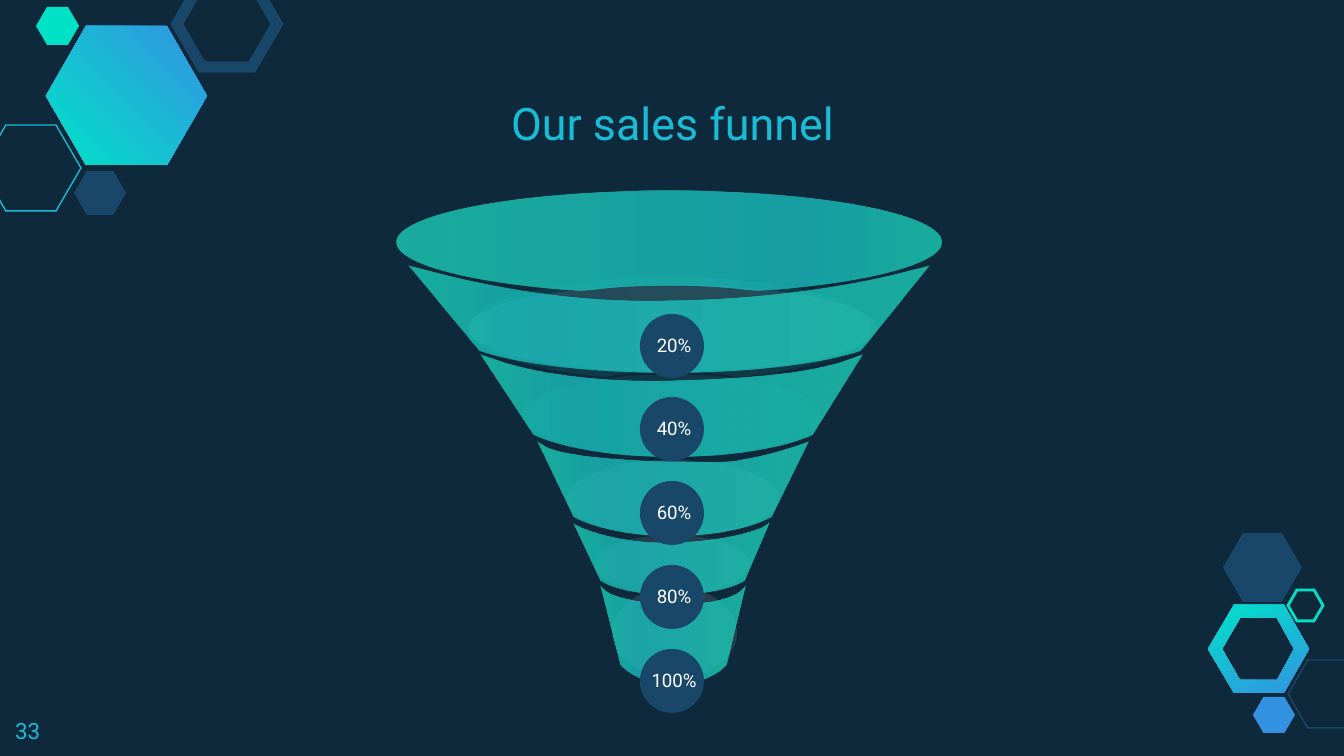
from dataclasses import dataclass

from lxml import etree
from pptx import Presentation
from pptx.dml.color import RGBColor
from pptx.enum.shapes import MSO_SHAPE
from pptx.enum.text import MSO_ANCHOR, PP_ALIGN
from pptx.oxml.ns import qn
from pptx.util import Pt

HEXAGON, OVAL = MSO_SHAPE.HEXAGON, MSO_SHAPE.OVAL
TOP, MIDDLE, BOTTOM = MSO_ANCHOR.TOP, MSO_ANCHOR.MIDDLE, MSO_ANCHOR.BOTTOM
LEFT, CENTER = PP_ALIGN.LEFT, PP_ALIGN.CENTER
EMU_PER_PX = 914400 / 134.4


def px(n):
    return round(n * EMU_PER_PX)


@dataclass(frozen=True)
class Theme:
    font: str = "Roboto"
    back: str = "0E293C"
    navy: str = "184769"
    cyan: str = "19BBD5"
    mint: str = "00E1C6"
    blue: str = "3292E1"
    white: str = "FFFFFF"
    title: int = 24
    number: int = 12
    label: int = 10
    accent: tuple = ((0, "3393E2"), (100, "00E2C7"))
    band: tuple = ((0, "1ED7BE"), (75, "1BC5C5"), (100, "1CD9BD"))
    inner: tuple = ((0, "1ED7BE"), (80, "1BC5C5"), (100, "1CD9BD"))


class Deck:
    def __init__(self, prs, theme):
        self.theme = theme
        self.s = prs.slides.add_slide(prs.slide_layouts[6])
        fill = self.s.background.fill
        fill.solid()
        fill.fore_color.rgb = RGBColor.from_string(theme.back)

    def paint(self, sp, fill=None, line=None, alpha=100, angle=0):
        """Fill is a colour, a tuple of gradient stops or None; line is (colour, points)."""
        sp.shadow.inherit = False
        if isinstance(fill, tuple):
            sp.fill.gradient()
            sp.fill.gradient_angle = -angle % 360
            stops = sp._element.spPr.find(qn("a:gradFill")).find(qn("a:gsLst"))
            for gs in list(stops):
                stops.remove(gs)
            for pos, color in fill:
                gs = etree.SubElement(stops, qn("a:gs"), pos=str(pos * 1000))
                etree.SubElement(gs, qn("a:srgbClr"), val=color)
        elif fill:
            sp.fill.solid()
            sp.fill.fore_color.rgb = RGBColor.from_string(fill)
        else:
            sp.fill.background()
        if alpha < 100:
            for clr in sp._element.spPr.iter(qn("a:srgbClr")):
                etree.SubElement(clr, qn("a:alpha"), val=str(alpha * 1000))
        if line:
            sp.line.color.rgb = RGBColor.from_string(line[0])
            sp.line.width = Pt(line[1])
            ln = sp._element.spPr.find(qn("a:ln"))
            etree.SubElement(ln, qn("a:miter"), lim="800000")
        else:
            sp.line.fill.background()

    def shape(self, kind, x, y, w, h, **style):
        sp = self.s.shapes.add_shape(kind, px(x), px(y), px(w), px(h))
        if kind == HEXAGON:
            sp.adjustments[0] = 0.29
        self.paint(sp, **style)

    def outline(self, *contours, **style):
        """A contour is a start point and steps: 2 numbers a line, 6 a Bezier curve."""
        ends = [[(px(step[-2]), px(step[-1])) for step in c] for c in contours]
        fb = self.s.shapes.build_freeform(*ends[0][0], scale=1.0)
        for i, points in enumerate(ends):
            if i:
                fb.move_to(*points[0])
            fb.add_line_segments(points[1:], close=True)
        sp = fb.convert_to_shape()
        steps = [step for c in contours for step in c[1:]]
        for seg, step in zip(list(sp._element.iter(qn("a:lnTo"))), steps):
            if len(step) == 6:
                curve = etree.Element(qn("a:cubicBezTo"))
                for x, y in zip(step[::2], step[1::2]):
                    etree.SubElement(curve, qn("a:pt"),
                                     x=str(px(x) - sp.left), y=str(px(y) - sp.top))
                seg.getparent().replace(seg, curve)
        self.paint(sp, **style)

    def text(self, words, x, y, w, h, size, color, align=CENTER, anchor=MIDDLE, pad=7):
        tf = self.s.shapes.add_textbox(px(x), px(y), px(w), px(h)).text_frame
        tf.word_wrap = True
        tf.vertical_anchor = anchor
        tf.margin_left = tf.margin_right = px(13)
        tf.margin_top = tf.margin_bottom = px(pad)
        p = tf.paragraphs[0]
        p.alignment = align
        r = p.add_run()
        r.text = words
        r.font.name = self.theme.font
        r.font.size = Pt(size)
        r.font.color.rgb = RGBColor.from_string(color)


# Funnel outlines: rim from left to right, then the base back to the left
BANDS = {
    20: [(409, 266), (429, 271), (481, 285, 570, 304, 669, 301),
         (769, 300, 857, 285, 909, 271), (929, 266), (860, 351),
         (821, 364, 750, 373, 669, 373), (589, 373, 517, 364, 480, 351)],
    40: [(481, 355), (496, 360), (535, 374, 601, 383, 673, 381),
         (747, 379, 809, 374, 848, 360), (862, 355), (812, 435),
         (784, 448, 731, 457, 672, 457), (613, 457, 562, 448, 534, 435)],
    60: [(538, 442), (548, 448), (575, 460, 663, 462, 671, 462),
         (706, 462, 712, 464, 737, 461), (759, 457, 778, 453, 808, 442), (771, 517),
         (751, 528, 715, 536, 672, 536), (630, 536, 594, 528, 574, 517)],
    80: [(574, 524), (582, 528), (601, 536, 634, 544, 672, 543),
         (710, 542, 743, 536, 762, 528), (770, 523), (745, 581),
         (730, 590, 703, 595, 672, 595), (641, 595, 616, 590, 601, 581)],
    100: [(601, 586), (606, 591), (621, 603, 672, 605, 675, 605),
          (677, 605, 726, 605, 741, 591), (746, 586), (727, 665),
          (716, 677, 696, 685, 673, 685), (652, 685, 632, 677, 621, 665)],
}
MOUTH = [(669, 191), (819, 191, 941, 214, 941, 242), (941, 263, 872, 281, 775, 289),
         (757, 290), (745, 289), (720, 286, 696, 285, 669, 285),
         (642, 285, 617, 286, 594, 289), (581, 290), (563, 289),
         (465, 281, 397, 263, 397, 242), (397, 214, 519, 191, 669, 191)]
INNER_MOUTH = [(671, 278), (781, 278, 870, 300, 870, 328), (870, 349, 820, 367, 749, 375),
               (735, 376), (726, 374), (708, 372, 690, 371, 671, 371),
               (651, 371, 632, 372, 616, 374), (606, 376), (593, 375),
               (521, 367, 470, 349, 470, 328), (470, 300, 560, 278, 671, 278)]


def main():
    prs = Presentation()
    prs.slide_width, prs.slide_height = px(1344), px(756)
    t = Theme()
    d = Deck(prs, t)

    # Corner hexagons
    d.outline([(1234, 693), (1208, 649), (1234, 605), (1284, 605), (1309, 649), (1284, 693)],
              [(1240, 680), (1277, 680), (1294, 649), (1277, 618), (1240, 618), (1222, 649)],
              fill=t.accent, angle=244)
    d.outline([(207, 96), (167, 165), (86, 165), (46, 96), (86, 26), (167, 26)],
              fill=t.accent, angle=135)
    for x, y, w, h, fill, line in (
            (-19, 125, 100, 86, None, (t.cyan, 0.75)),
            (74, 171, 52, 44, t.navy, None),
            (177, -19, 100, 86, None, (t.navy, 6)),
            (36, 7, 43, 38, t.mint, None),
            (1288, 660, 79, 68, None, (t.navy, 0.75)),
            (1253, 697, 42, 36, t.blue, None),
            (1223, 533, 79, 69, t.navy, None),
            (1288, 590, 35, 31, None, (t.mint, 1.5))):
        d.shape(HEXAGON, x, y, w, h, fill=fill, line=line)

    # Title
    d.text("Our sales funnel", 457, 67, 431, 95, t.title, t.cyan, anchor=BOTTOM, pad=13)

    # Funnel, back to front
    def glow(*box):
        d.shape(OVAL, *box, fill=t.white, alpha=10)

    def band(share):
        d.outline(BANDS[share], fill=t.band, alpha=75, angle=180)

    glow(612, 587, 125, 91)
    d.shape(OVAL, 523, 375, 298, 81, fill=t.inner, alpha=10, angle=180)
    glow(468, 285, 409, 87)
    glow(595, 535, 155, 59)
    band(80)
    glow(567, 460, 212, 77)
    band(60)
    d.outline(INNER_MOUTH, fill=t.inner, alpha=10, angle=180)
    for share in (20, 40, 100):
        band(share)
    d.outline(MOUTH, fill=t.band, alpha=75)

    # Percentage badges
    for i, share in enumerate(BANDS):
        y = 314 + i * 335 // 4
        d.shape(OVAL, 640, y, 64, 64, fill=t.navy)
        d.text(f"{share}%", 637, y + 14, 74, 35, t.label, t.white)

    # Slide number
    d.text("33", 2, 704, 81, 52, t.number, t.cyan, align=LEFT, anchor=TOP, pad=13)

    prs.save("out.pptx")


if __name__ == "__main__":
    main()
